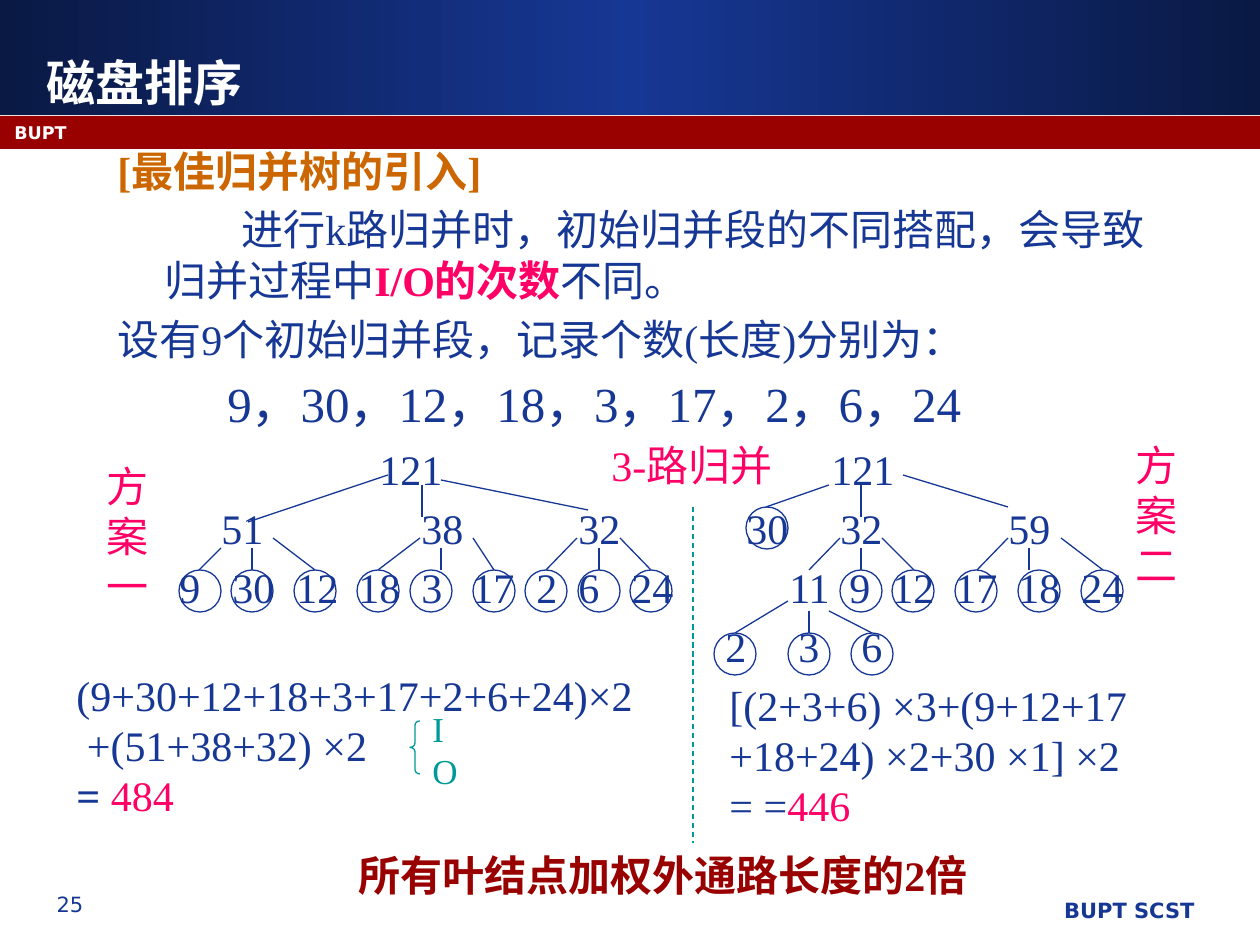
import copy
import pptx
import pptx.dml.color
import pptx.enum.dml
import pptx.enum.shapes
import pptx.enum.text
import pptx.oxml.ns
import pptx.util
from lxml import etree

PX = 914400 / 126
SERIF, SANS = "Times New Roman", "DejaVu Sans"
BLUE, DARK, RED = "163794", "0A1944", "990000"
PINK, TEAL, GOLD, WHITE = "FF0066", "009999", "CC6600", "FFFFFF"
ALIGN = pptx.enum.text.PP_ALIGN
KIND = pptx.enum.shapes.MSO_SHAPE
qn = pptx.oxml.ns.qn


def px(n):
    return pptx.util.Emu(round(n * PX))


def rgb(code):
    return pptx.dml.color.RGBColor.from_string(code)


def style(font, size, color, bold=False, face=SERIF):
    font.name, font.size, font.bold = face, pptx.util.Pt(size), bold
    font.color.rgb = rgb(color)


def frame(slide, x, y, w, h, wrap=True):
    text = slide.shapes.add_textbox(px(x), px(y), px(w), px(h)).text_frame
    text.word_wrap = wrap
    return text


def label(slide, box, words, size, color, bold=False, face=SERIF, align=ALIGN.LEFT):
    text = frame(slide, *box)
    para = text.paragraphs[0]
    para.text, para.alignment = words, align
    style(para.font, size, color, bold, face)
    return text


def shape(slide, kind, x, y, w, h, fill=None, line=None):
    item = slide.shapes.add_shape(kind, px(x), px(y), px(w), px(h))
    item.shadow.inherit = False
    if fill:
        item.fill.solid()
        item.fill.fore_color.rgb = rgb(fill)
    else:
        item.fill.background()
    if line:
        item.line.color.rgb = rgb(line)
        item.line.width = pptx.util.Pt(0.75)
    else:
        item.line.fill.background()
    return item


def edge(slide, x1, y1, x2, y2, color=BLUE):
    item = slide.shapes.add_connector(
        pptx.enum.shapes.MSO_CONNECTOR.STRAIGHT, px(x1), px(y1), px(x2), px(y2))
    item.line.color.rgb = rgb(color)
    item.line.width = pptx.util.Pt(0.75)
    etree.SubElement(item._element.spPr, qn("a:effectLst"))
    return item


def header(slide, x, y, w):
    # Gradient band, dark at both ends
    band = shape(slide, KIND.RECTANGLE, x, y, w, 115, BLUE)
    band.fill.gradient()
    band.fill.gradient_angle = 0
    stops = band._element.spPr.find(qn("a:gradFill")).find(qn("a:gsLst"))
    stops.insert(1, copy.deepcopy(stops[0]))
    for stop, place, color in zip(band.fill.gradient_stops, (0, 0.5, 1), (DARK, BLUE, DARK)):
        stop.position = place
        stop.color.rgb = rgb(color)
    # Red strip and title
    shape(slide, KIND.RECTANGLE, x, y + 116, w, 33, RED)
    label(slide, (x + 2, y + 116, 1165, 32), "BUPT", 10, WHITE, True, SANS)
    title = label(slide, (x + 34, y + 45, 1071, 73), "磁盘排序", 28, WHITE, True, SANS)
    title.vertical_anchor = pptx.enum.text.MSO_ANCHOR.MIDDLE


def footer(slide, x, y):
    label(slide, (x, y, 110, 44), "25", 12, BLUE, False, SANS, ALIGN.CENTER)
    label(slide, (x + 515, y + 6, 677, 44), "BUPT SCST", 12, BLUE, True, SANS, ALIGN.RIGHT)


def body(slide, x, y, w, h):
    text = frame(slide, x, y, w, h)

    def para(left, first, size, color=BLUE, bold=False):
        item = text.paragraphs[0]
        if item.runs:
            item = text.add_paragraph()
            item.space_before = pptx.util.Pt(size * 0.2)
        props = item._p.get_or_add_pPr()
        props.set("marL", str(px(left)))
        props.set("indent", str(px(first)))
        style(item.font, size, color, bold)
        return item

    para(47, -47, 24, GOLD, True).add_run().text = "[最佳归并树的引入]"
    intro = para(47, 77, 24)
    for words, color in (("进行k路归并时，初始归并段的不同搭配，会导致归并过程中", BLUE),
                         ("I/O的次数", PINK), ("不同。", BLUE)):
        run = intro.add_run()
        run.text = words
        style(run.font, 24, color, color == PINK)
    para(47, -47, 24).add_run().text = "设有9个初始归并段，记录个数(长度)分别为："
    para(110, 0, 28).add_run().text = "9，30，12，18，3，17，2，6，24"


def tree(slide, x, y, levels, leaves, edges):
    # Values, one level every 59 px; the offset allows for the text insets
    for i, level in enumerate(levels):
        for value, left in level:
            label(slide, (x + left - 13, y - 38 + 59 * i, 90, 63), str(value), 24, BLUE)
    # Leaf rings and branches
    for top, lefts in leaves.items():
        for left in lefts:
            shape(slide, KIND.OVAL, x + left, y + top, 42, 42, line=BLUE)
    for x1, y1, x2, y2 in edges:
        edge(slide, x + x1, y + y1, x + x2, y + y2)


def sums(slide, x, y, w, h, lines, start, total, bold=False):
    text = frame(slide, x, y, w, h, False)
    for i, words in enumerate(lines):
        para = text.add_paragraph() if i else text.paragraphs[0]
        para.text = words
        style(para.font, 24, BLUE)
    last = text.add_paragraph()
    for words, color, heavy in ((start, BLUE, bold), (total, PINK, False)):
        run = last.add_run()
        run.text = words
        style(run.font, 24, color, heavy)


def main():
    deck = pptx.Presentation()
    deck.slide_width, deck.slide_height = px(1260), px(945)
    slide = deck.slides.add_slide(deck.slide_layouts[6])
    header(slide, 0, 0, 1260)
    footer(slide, 15, 885)
    body(slide, 105, 139, 1071, 310)

    # Plan one
    tree(slide, 179, 475, (
        ((121, 201),),
        ((51, 43), (38, 243), (32, 400)),
        ((9, 1), (30, 54), (12, 118), (18, 180), (3, 243),
         (17, 294), (2, 358), (6, 400), (24, 453)),
    ), {95: (0, 52, 115, 178, 231, 294, 346, 399, 451)}, (
        (209, 0, 69, 47), (243, 10, 243, 42), (262, 5, 409, 35),
        (42, 73, 20, 95), (73, 73, 73, 95), (94, 63, 136, 95),
        (241, 63, 199, 95), (262, 73, 262, 95), (294, 63, 315, 95),
        (398, 63, 367, 95), (420, 73, 420, 95), (441, 63, 472, 95)))
    label(slide, (94, 454, 73, 165), "方案一", 24, PINK)
    sums(slide, 64, 663, 588, 217,
         ("(9+30+12+18+3+17+2+6+24)×2", " +(51+38+32) ×2"), "= ", "484", True)
    label(slide, (420, 701, 53, 97), "IO", 20, TEAL)
    brace = shape(slide, KIND.LEFT_BRACE, 410, 721, 10, 53, line=TEAL)
    brace.adjustments[0] = 0.42

    # Plan two
    tree(slide, 714, 475, (
        ((121, 118),),
        ((30, 33), (32, 127), (59, 295)),
        ((11, 76), (9, 136), (12, 179), (17, 242), (18, 305), (24, 368)),
        ((2, 12), (3, 85), (6, 148)),
    ), {32: (32,), 95: (126, 178, 241, 304, 367), 158: (0, 74, 137)}, (
        (115, 10, 52, 32), (147, 10, 147, 42), (189, 0, 294, 32),
        (126, 63, 95, 95), (147, 73, 147, 95), (168, 63, 200, 95),
        (294, 63, 263, 95), (315, 73, 315, 95), (347, 63, 389, 95),
        (74, 126, 21, 158), (95, 136, 95, 158), (115, 136, 158, 158)))
    label(slide, (1123, 433, 73, 165), "方案二", 24, PINK)
    sums(slide, 717, 673, 426, 165,
         ("[(2+3+6) ×3+(9+12+17", "+18+24) ×2+30 ×1] ×2"), "= =", "446")

    # Divider, heading and conclusion
    split = edge(slide, 693, 507, 693, 843, TEAL)
    split.line.dash_style = pptx.enum.dml.MSO_LINE.DASH
    label(slide, (599, 433, 210, 63), "3-路归并", 24, PINK)
    label(slide, (346, 843, 640, 63), "所有叶结点加权外通路长度的2倍", 24, RED, True)
    deck.save("out.pptx")


if __name__ == "__main__":
    main()
